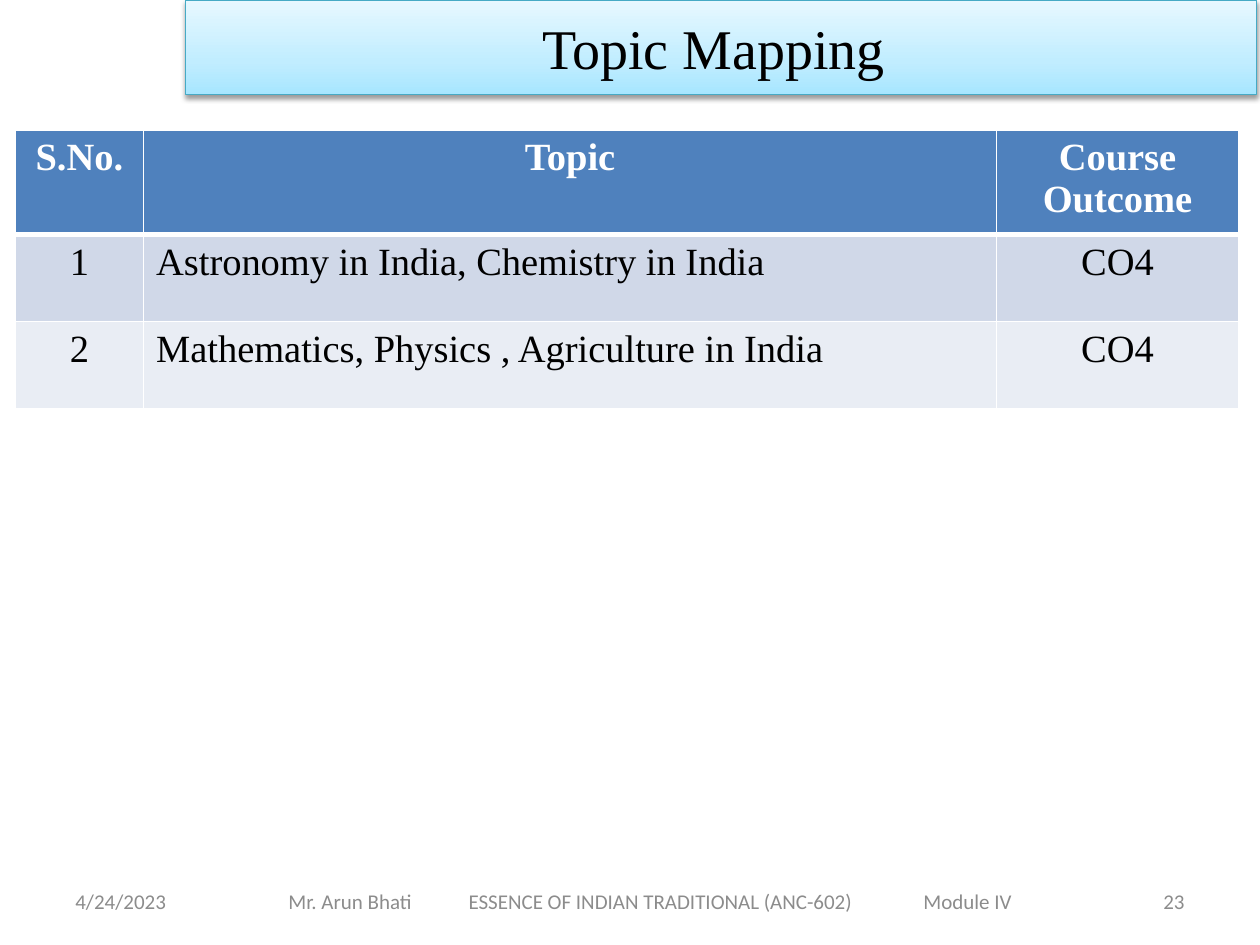
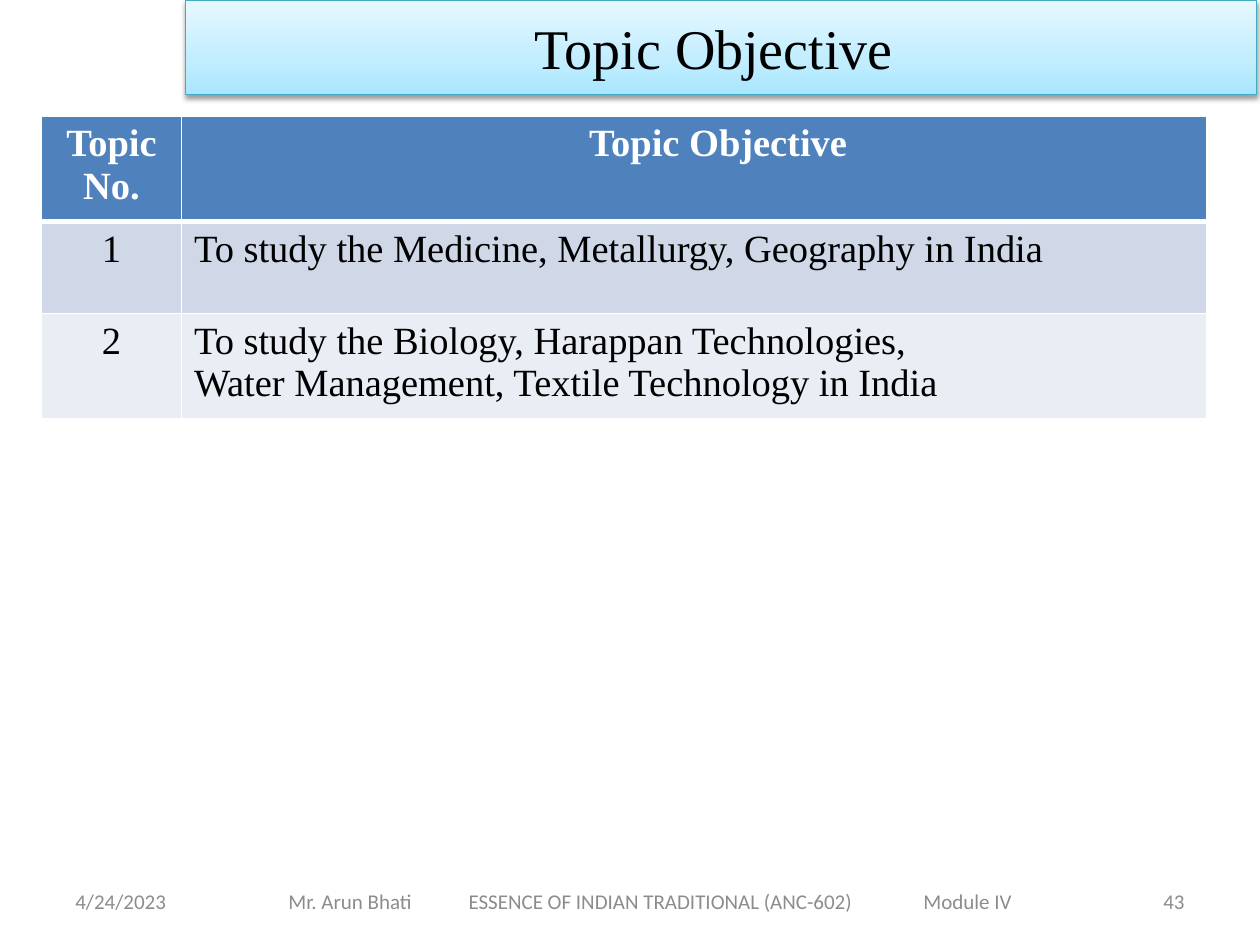
"""Build the topic mapping and topic objective slides of a course module."""
from lxml import etree
from pptx import Presentation
from pptx.dml.color import RGBColor
from pptx.enum.text import MSO_ANCHOR, MSO_AUTO_SIZE, PP_ALIGN
from pptx.oxml import parse_xml
from pptx.oxml.ns import nsdecls, qn
from pptx.util import Inches, Pt

LEFT, CENTER, RIGHT, JUSTIFY = PP_ALIGN.LEFT, PP_ALIGN.CENTER, PP_ALIGN.RIGHT, PP_ALIGN.JUSTIFY
MIDDLE = MSO_ANCHOR.MIDDLE
NO_AUTOFIT = MSO_AUTO_SIZE.NONE
TITLE_ONLY = 5

SERIF, SANS = "Times New Roman", "Calibri"
BLACK, WHITE, GREY = "000000", "FFFFFF", "8C8C8C"
HEADER_FILL, BAND_FILLS = "4F81BD", ("D0D8E8", "E9EDF4")
TITLE_EDGE = "46AAC5"
TITLE_STOPS = [(0, "A7E6FF"), (35, "C1EDFF"), (100, "E7F8FF")]

DATE = "4/24/2023"
COURSE_LINE = ["Mr. Arun Bhati", "ESSENCE OF INDIAN TRADITIONAL (ANC-602)", "Module IV"]
COURSE_TABS = [1.43, 5.04]

SLIDES = [
    {
        "title": "Topic Mapping", "number": "23",
        "corner": (0.12, 1.03), "columns": [1.02, 6.77, 1.92], "heights": [0.81, 0.69, 0.69],
        "header_indent": 0.1,
        "rows": [
            ["S.No.", "Topic", "Course Outcome"],
            ["1", "Astronomy in India, Chemistry in India", "CO4"],
            ["2", "Mathematics, Physics , Agriculture in India", "CO4"],
        ],
    },
    {
        "title": "Topic Objective", "number": "43",
        "corner": (0.33, 0.92), "columns": [1.11, 8.14], "heights": [0.84, 0.73, 0.73],
        "header_indent": 0.48,
        "rows": [
            ["Topic No.", "Topic Objective"],
            ["1", "To study the Medicine, Metallurgy, Geography in India"],
            ["2", "To study the Biology, Harappan Technologies,\n"
                  "Water Management, Textile Technology in India"],
        ],
    },
]


def rgb(color):
    return RGBColor.from_string(color)


def write(frame, text, size=22, font=SERIF, color=BLACK, bold=False, align=CENTER, tabs=()):
    for index, line in enumerate(text.split("\n")):
        paragraph = frame.add_paragraph() if index else frame.paragraphs[0]
        paragraph.alignment = align
        if tabs:
            stops = etree.SubElement(paragraph._p.get_or_add_pPr(), qn("a:tabLst"))
            for position in tabs:
                etree.SubElement(stops, qn("a:tab"), pos=str(Inches(position)), algn="l")
        run = paragraph.add_run()
        run.text = line
        run.font.size, run.font.name, run.font.bold = Pt(size), font, bold
        run.font.color.rgb = rgb(color)


def add_title(slide, text):
    title = slide.shapes.title
    title.left, title.top, title.width, title.height = map(Inches, (1.47, 0, 8.5, 0.75))
    stops = "".join(f'<a:gs pos="{position * 1000}"><a:srgbClr val="{color}"/></a:gs>'
                    for position, color in TITLE_STOPS)
    properties = title._element.spPr
    properties.append(parse_xml(
        f'<a:gradFill {nsdecls("a")} rotWithShape="1"><a:gsLst>{stops}</a:gsLst>'
        '<a:lin ang="16200000" scaled="0"/></a:gradFill>'))
    title.line.color.rgb = rgb(TITLE_EDGE)
    title.line.width = Pt(0.75)
    properties.append(parse_xml(
        f'<a:effectLst {nsdecls("a")}><a:outerShdw blurRad="{Pt(3.1)}" dist="{Pt(1.6)}" '
        f'dir="5400000" rotWithShape="0"><a:srgbClr val="{BLACK}"><a:alpha val="38000"/>'
        '</a:srgbClr></a:outerShdw></a:effectLst>'))
    frame = title.text_frame
    frame.auto_size = NO_AUTOFIT
    frame.vertical_anchor = MIDDLE
    frame.margin_right = Inches(0.21)
    write(frame, text, size=32)


def add_footer(slide, number):
    for left, width, text, align, tabs in [
        (0.5, 1.5, DATE, LEFT, ()),
        (2.19, 6.39, "\t".join(COURSE_LINE), LEFT, COURSE_TABS),
        (7.17, 2.33, number, RIGHT, ()),
    ]:
        frame = slide.shapes.add_textbox(*map(Inches, (left, 6.95, width, 0.4))).text_frame
        frame.word_wrap = True
        frame.vertical_anchor = MIDDLE
        write(frame, text, size=12, font=SANS, color=GREY, align=align, tabs=tabs)


def add_borders(cell, row):
    widths = {"lnL": 1, "lnR": 1, "lnT": 3 if row == 1 else 1, "lnB": 3 if row == 0 else 1}
    for side, width in widths.items():
        cell._tc.get_or_add_tcPr().append(parse_xml(
            f'<a:{side} {nsdecls("a")} w="{Pt(width)}"><a:solidFill>'
            f'<a:srgbClr val="{WHITE}"/></a:solidFill></a:{side}>'))


def add_topics(slide, content):
    rows, columns, heights = content["rows"], content["columns"], content["heights"]
    topics = slide.shapes.add_table(
        len(rows), len(columns), *map(Inches, (*content["corner"], sum(columns), sum(heights)))).table
    for column, width in zip(topics.columns, columns):
        column.width = Inches(width)
    for r, (texts, height) in enumerate(zip(rows, heights)):
        topics.rows[r].height = Inches(height)
        header = r == 0
        for c, text in enumerate(texts):
            cell = topics.cell(r, c)
            add_borders(cell, r)
            cell.fill.solid()
            cell.fill.fore_color.rgb = rgb(HEADER_FILL if header else BAND_FILLS[(r - 1) % 2])
            if header and c == 1:
                cell.margin_left = Inches(content["header_indent"])
            write(cell.text_frame, text, color=WHITE if header else BLACK, bold=header,
                  align=JUSTIFY if c == 1 and not header else CENTER)


def main():
    deck = Presentation()
    deck.slide_width, deck.slide_height = Inches(10), Inches(7.5)
    for content in SLIDES:
        slide = deck.slides.add_slide(deck.slide_layouts[TITLE_ONLY])
        add_footer(slide, content["number"])
        add_title(slide, content["title"])
        add_topics(slide, content)
    deck.save("out.pptx")


if __name__ == "__main__":
    main()
